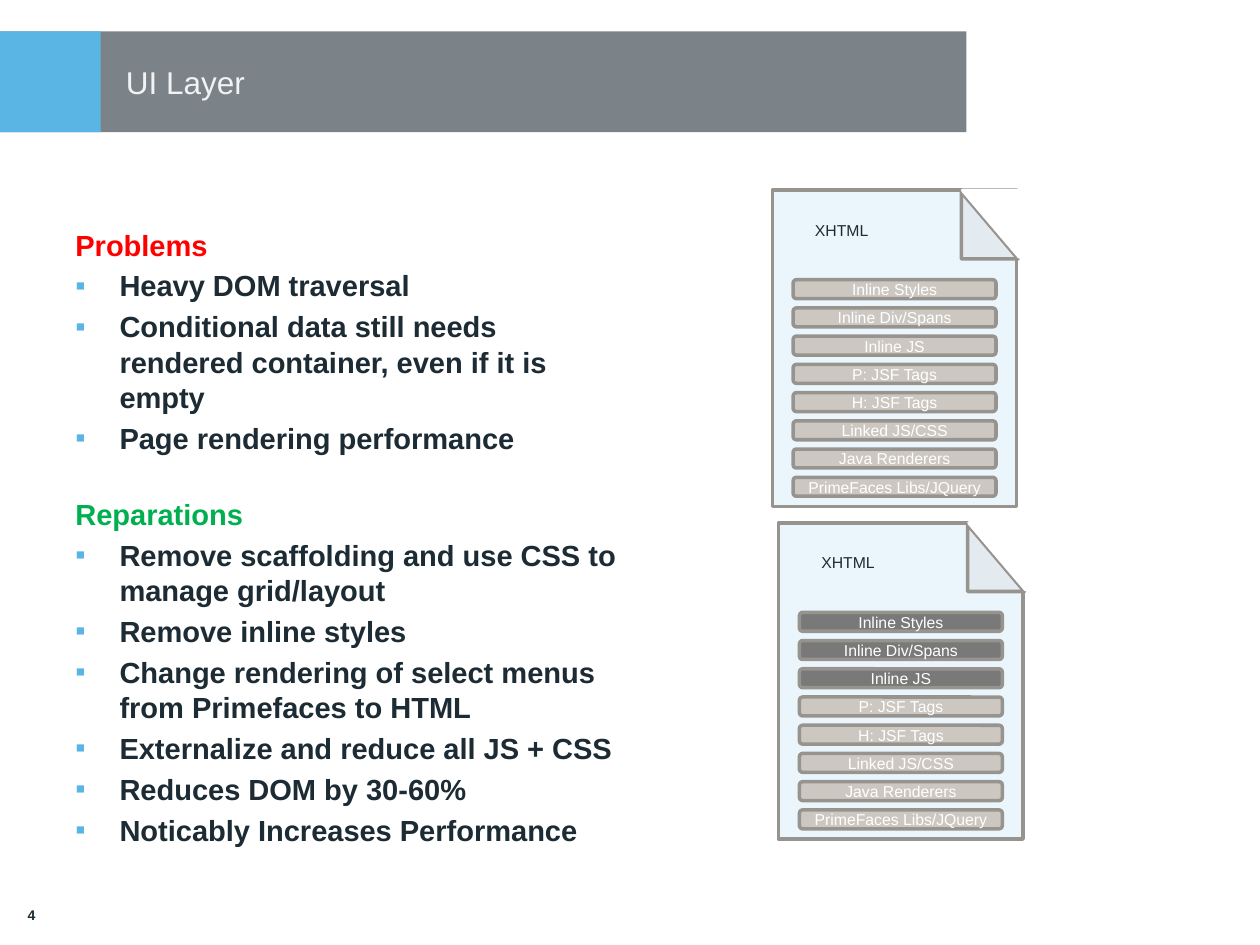
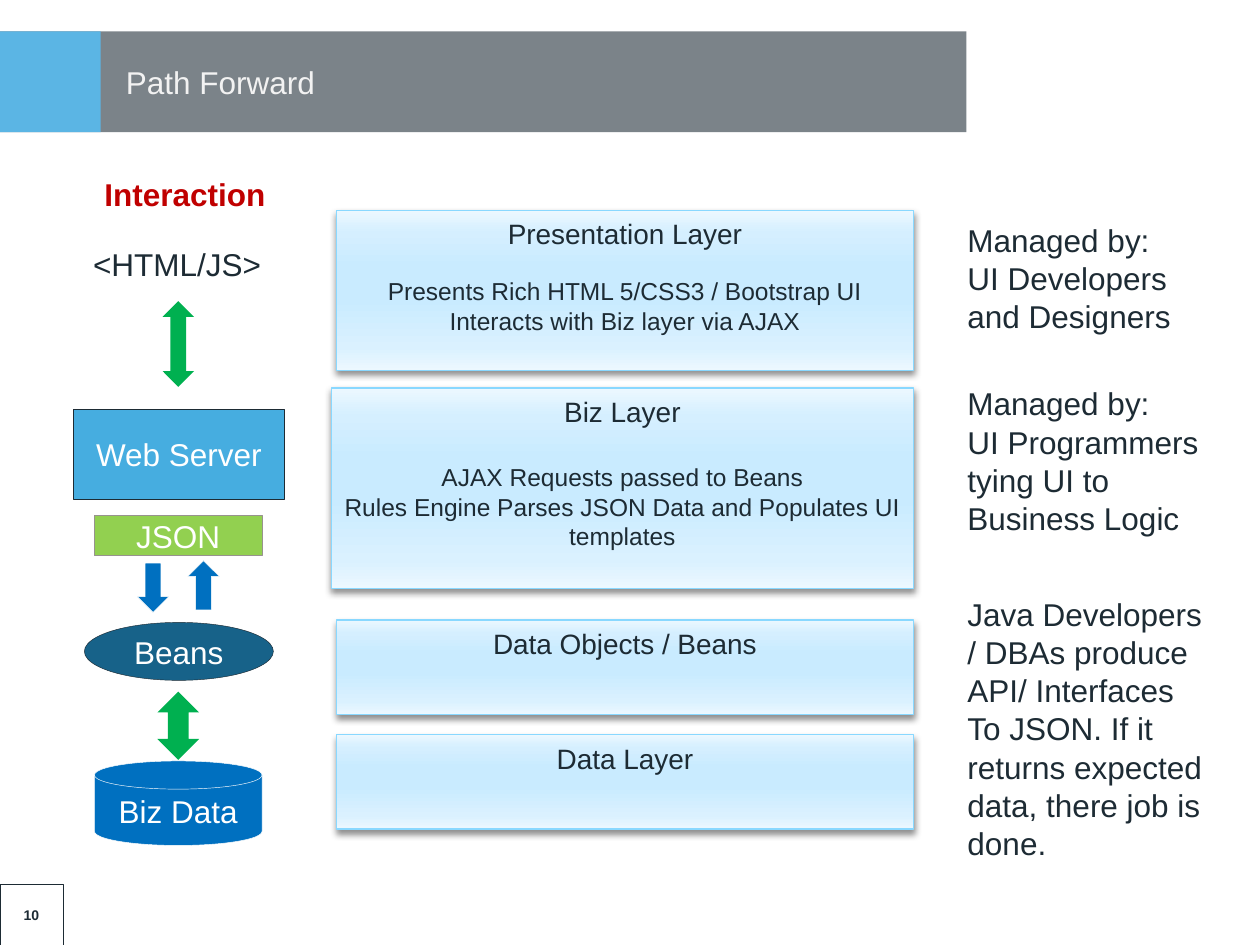
from dataclasses import dataclass

from lxml import etree
from pptx import Presentation
from pptx.dml.color import RGBColor
from pptx.enum.shapes import MSO_SHAPE
from pptx.enum.text import MSO_ANCHOR, PP_ALIGN
from pptx.oxml.ns import qn
from pptx.util import Inches, Pt

SLIDE_WIDTH, SLIDE_HEIGHT = 10, 7.5
UNIT = SLIDE_WIDTH / 100
FONT = "Arial"
LINE_FACTOR = 1.21

WHITE = RGBColor(0xFF, 0xFF, 0xFF)
INK = RGBColor(0x1D, 0x2B, 0x34)
SKY = RGBColor(0x5B, 0xB5, 0xE4)
TITLE_GREY = RGBColor(0xF2, 0xF2, 0xF2)
RED = RGBColor(0xFF, 0x00, 0x00)
DARK_RED = RGBColor(0xC0, 0x00, 0x00)
GREEN = RGBColor(0x00, 0xB0, 0x50)
LIME = RGBColor(0x92, 0xD0, 0x50)
BLUE = RGBColor(0x00, 0x70, 0xC0)
SERVER_BLUE = RGBColor(0x46, 0xAD, 0xE0)
BEAN_BLUE = RGBColor(0x17, 0x62, 0x89)
PAPER = RGBColor(0xEB, 0xF6, 0xFC)
FOLD = RGBColor(0xE3, 0xEB, 0xF0)
STONE = RGBColor(0x97, 0x93, 0x8E)
KEPT = RGBColor(0xCC, 0xC7, 0xC0)
REMOVED = RGBColor(0x79, 0x79, 0x79)
SHADE = RGBColor(0x00, 0x00, 0x00)
LAYER_EDGE = RGBColor(0x89, 0xD8, 0xFF)
LAYER_STOPS = [
    (0, RGBColor(0xEC, 0xF8, 0xFF)), (14, RGBColor(0xDA, 0xF1, 0xFF)),
    (45, RGBColor(0xC9, 0xEB, 0xFF)), (65, RGBColor(0xC9, 0xEB, 0xFF)),
    (86, RGBColor(0xD5, 0xEF, 0xFF)), (100, RGBColor(0xEC, 0xF8, 0xFF)),
]

NO_INSETS = dict.fromkeys(("margin_left", "margin_top", "margin_right", "margin_bottom"), 0)
MIDDLE = {"vertical_anchor": MSO_ANCHOR.MIDDLE, "word_wrap": True}
TOP = {"vertical_anchor": MSO_ANCHOR.TOP, "word_wrap": True}
ONE_LINE = {"vertical_anchor": MSO_ANCHOR.TOP, "word_wrap": False}

PROBLEMS = [
    "Heavy DOM traversal",
    "Conditional data still needs rendered container, even if it is empty",
    "Page rendering performance",
]
REPARATIONS = [
    "Remove scaffolding and use CSS to manage grid/layout",
    "Remove inline styles",
    "Change rendering of select menus from Primefaces to HTML",
    "Externalize and reduce all JS + CSS",
    "Reduces DOM by 30-60%",
    "Noticably Increases Performance",
]
PAGE_PARTS = [
    "Inline Styles", "Inline Div/Spans", "Inline JS", "P: JSF Tags",
    "H: JSF Tags", "Linked JS/CSS", "Java Renderers", "PrimeFaces Libs/JQuery",
]


@dataclass
class Box:
    """A region of the slide, measured in hundredths of the slide's width."""
    left: float
    top: float
    width: float
    height: float

    def inner(self, left, top, width, height):
        """Return a region placed relative to this one."""
        return Box(self.left + left, self.top + top, width, height)

    def lengths(self):
        """Return left, top, width and height as slide lengths."""
        return [Inches(n * UNIT) for n in (self.left, self.top, self.width, self.height)]


SLIDE = Box(0, 0, 100, 100 * SLIDE_HEIGHT / SLIDE_WIDTH)


def apply(target, values):
    """Set each named value on the target."""
    for name, value in values.items():
        setattr(target, name, value)


def add_line(frame, text, size, color=INK, bold=False, align=PP_ALIGN.LEFT, before=0):
    """Write one paragraph, using the empty first one if there is one."""
    first = frame.paragraphs[0]
    line = frame.add_paragraph() if first.runs else first
    apply(line, {"alignment": align, "space_before": Pt(before),
                 "line_spacing": Pt(round(size * LINE_FACTOR, 1))})
    run = line.add_run()
    run.text = text
    apply(run.font, {"name": FONT, "size": Pt(size), "bold": bold})
    run.font.color.rgb = color
    return line


def add_text(slide, box, lines, layout=TOP, **style):
    """Add a text box with one paragraph for each line."""
    frame = slide.shapes.add_textbox(*box.lengths()).text_frame
    apply(frame, layout)
    for text in lines:
        add_line(frame, text, **style)
    return frame


def add_figure(slide, kind, box, fill=None, edge=None, weight=0.25, text=None, size=18,
               layout=MIDDLE, **style):
    """Add a preset shape with its fill, outline and centred label."""
    figure = slide.shapes.add_shape(kind, *box.lengths())
    figure.shadow.inherit = False
    if fill is None:
        figure.fill.background()
    else:
        figure.fill.solid()
        figure.fill.fore_color.rgb = fill
    if edge is None:
        figure.line.fill.background()
    else:
        figure.line.color.rgb = edge
        figure.line.width = Pt(weight)
    apply(figure.text_frame, layout)
    if text:
        add_line(figure.text_frame, text, size, align=PP_ALIGN.CENTER, **style)
    return figure


def add_child(parent, tag, **attributes):
    """Append a drawing element with its attributes."""
    child = etree.SubElement(parent, qn(tag))
    for name, value in attributes.items():
        child.set(name, str(value))
    return child


def add_color(parent, color, alpha=None):
    """Append a colour with optional opacity in percent."""
    element = add_child(parent, "a:srgbClr", val=color)
    if alpha is not None:
        add_child(element, "a:alpha", val=alpha * 1000)


def start_slide(deck, title, number, number_edge=None):
    """Add a slide with its title band and page number."""
    slide = deck.slides.add_slide(deck.slide_layouts[6])
    band = SLIDE.inner(0, 2.5, 76.7, 8)
    bar = add_figure(slide, MSO_SHAPE.RECTANGLE, band, INK)
    ink = bar._element.spPr.find(qn("a:solidFill")).find(qn("a:srgbClr"))
    add_child(ink, "a:alpha", val=58000)
    add_figure(slide, MSO_SHAPE.RECTANGLE, band.inner(0, 0, 8, 8), SKY)
    add_text(slide, band.inner(10, 0, 65, 8), [title], {**MIDDLE, **NO_INSETS},
             size=18, color=TITLE_GREY)
    add_figure(slide, MSO_SHAPE.RECTANGLE, SLIDE.inner(0, 70.2, 5, 4.8), edge=number_edge,
               text=number, size=8, bold=True)
    return slide


def add_bullets(frame, items, size):
    """Write square-bulleted paragraphs."""
    for item in items:
        line = add_line(frame, item, size, bold=True, before=3.3)
        properties = line._p.get_or_add_pPr()
        properties.set("marL", str(Inches(0.35)))
        properties.set("indent", str(-Inches(0.35)))
        add_color(add_child(properties, "a:buClr"), SKY)
        add_child(properties, "a:buFont", typeface=FONT)
        add_child(properties, "a:buChar", char="▪")


def add_findings(slide, box):
    """List the problems and the reparations."""
    size = 16.6
    frame = add_text(slide, box, ["Problems"], size=size, color=RED, bold=True)
    add_bullets(frame, PROBLEMS, size)
    add_line(frame, "Reparations", size, GREEN, True, before=23.4)
    add_bullets(frame, REPARATIONS, size)


def add_page(slide, box, removed):
    """Draw a folded XHTML page whose first rows are marked as removed."""
    fold = box.inner(15, 0.15, 4.5, 5.3)
    add_figure(slide, MSO_SHAPE.RECTANGLE, box, PAPER, STONE, 2)
    add_figure(slide, MSO_SHAPE.RIGHT_TRIANGLE, fold, FOLD, STONE, 2)
    corner = add_figure(slide, MSO_SHAPE.RIGHT_TRIANGLE, fold.inner(0.1, -0.15, 4.5, 5.3),
                        WHITE, WHITE, 2)
    corner.rotation = 180
    for row, name in enumerate(PAGE_PARTS):
        add_figure(slide, MSO_SHAPE.ROUNDED_RECTANGLE,
                   box.inner(1.65, 7.1 + row * 2.24, 16.1, 1.5),
                   REMOVED if row < removed else KEPT, STONE, 2, name, 9,
                   {**MIDDLE, **NO_INSETS}, color=WHITE)
    add_text(slide, box.inner(2.4, 1.9, 11.6, 2.5), ["XHTML"], size=9)


def add_layer(slide, box, heading, details=(), gap=0):
    """Draw a glossy layer with a heading and its details."""
    layer = add_figure(slide, MSO_SHAPE.RECTANGLE, box, WHITE, LAYER_EDGE, 0.75, heading, 16, TOP)
    layer.fill.gradient()
    layer.fill.gradient_angle = 90
    properties = layer._element.spPr
    stops = properties.find(qn("a:gradFill")).find(qn("a:gsLst"))
    stops.clear()
    for position, color in LAYER_STOPS:
        add_color(add_child(stops, "a:gs", pos=position * 1000), color)
    shadow = add_child(properties.find(qn("a:effectLst")), "a:outerShdw", blurRad=Pt(4),
                       dist=Pt(2), dir=5400000, rotWithShape=0)
    add_color(shadow, SHADE, 43)
    for row, detail in enumerate(details):
        add_line(layer.text_frame, detail, 14, align=PP_ALIGN.CENTER, before=0 if row else gap)


def add_layers(slide, box):
    """Stack the four layers."""
    add_layer(slide, box.inner(0.4, 41.6, 45.8, 7.5), "Data Layer")
    add_layer(slide, box.inner(0, 14.1, 46.2, 15.9), "Biz Layer",
              ["AJAX Requests passed to Beans",
               "Rules Engine Parses JSON Data and Populates UI templates"], 19.4)
    add_layer(slide, box.inner(0.4, 0, 45.8, 12.7), "Presentation Layer",
              ["Presents Rich HTML 5/CSS3 / Bootstrap UI", "Interacts with Biz layer via AJAX"],
              14.5)
    add_layer(slide, box.inner(0.4, 32.5, 45.8, 7.5), "Data Objects / Beans")


def add_interaction(slide, box):
    """Draw the way from the browser down to the business data."""
    add_text(slide, box.inner(1.5, 0, 14.9, 4), ["Interaction"], ONE_LINE,
             size=18, color=DARK_RED, bold=True)
    add_text(slide, box.inner(0.6, 5.5, 15.5, 4), ["<HTML/JS>"], ONE_LINE, size=18)
    stations = [
        (MSO_SHAPE.FLOWCHART_MAGNETIC_DISK, (1.7, 47, 13.3, 6.7), BLUE, WHITE, "Biz Data"),
        (MSO_SHAPE.UP_DOWN_ARROW, (6.7, 41.5, 3.3, 5.4), GREEN, None, None),
        (MSO_SHAPE.OVAL, (0.9, 36, 15, 4.6), BEAN_BLUE, INK, "Beans"),
        (MSO_SHAPE.DOWN_ARROW, (5.1, 31.3, 2.5, 3.9), BLUE, WHITE, None),
        (MSO_SHAPE.UP_ARROW, (9.1, 31.1, 2.5, 3.9), BLUE, WHITE, None),
        (MSO_SHAPE.RECTANGLE, (1.7, 27.5, 13.3, 3.2), LIME, STONE, "JSON"),
        (MSO_SHAPE.RECTANGLE, (0, 19.1, 16.8, 7.1), SERVER_BLUE, INK, "Web Server"),
        (MSO_SHAPE.UP_DOWN_ARROW, (7.1, 10.5, 2.5, 6.8), GREEN, None, None),
    ]
    for kind, place, fill, edge, name in stations:
        add_figure(slide, kind, box.inner(*place), fill, edge, text=name, color=WHITE)


def add_owners(slide, box):
    """Name who looks after each layer."""
    owners = [
        (0, 10.1, ["Managed by:", "UI Developers and Designers"]),
        (13, 13.1, ["Managed by:", "UI Programmers tying UI to", "Business Logic"]),
        (29.7, 22.2, ["Java Developers / DBAs produce", "API/ Interfaces",
                      "To JSON. If it returns expected data, there job is done."]),
    ]
    for top, height, lines in owners:
        add_text(slide, box.inner(0, top, box.width, height), lines, size=18)


def main():
    """Build and save the two slides."""
    deck = Presentation()
    apply(deck, {"slide_width": Inches(SLIDE_WIDTH), "slide_height": Inches(SLIDE_HEIGHT)})

    ui_layer = start_slide(deck, "UI Layer", "4")
    add_findings(ui_layer, SLIDE.inner(5, 17.5, 45.8, 50))
    add_page(ui_layer, SLIDE.inner(61.3, 15.1, 19.4, 25.1), removed=0)
    add_page(ui_layer, SLIDE.inner(61.8, 41.5, 19.4, 25.1), removed=3)

    path_forward = start_slide(deck, "Path Forward", "10", INK)
    add_layers(path_forward, SLIDE.inner(26.3, 16.7, 46.2, 49.1))
    add_interaction(path_forward, SLIDE.inner(5.8, 13.4, 16.8, 53.7))
    add_owners(path_forward, SLIDE.inner(75.8, 17, 20.8, 51.9))

    deck.save("out.pptx")


if __name__ == "__main__":
    main()
